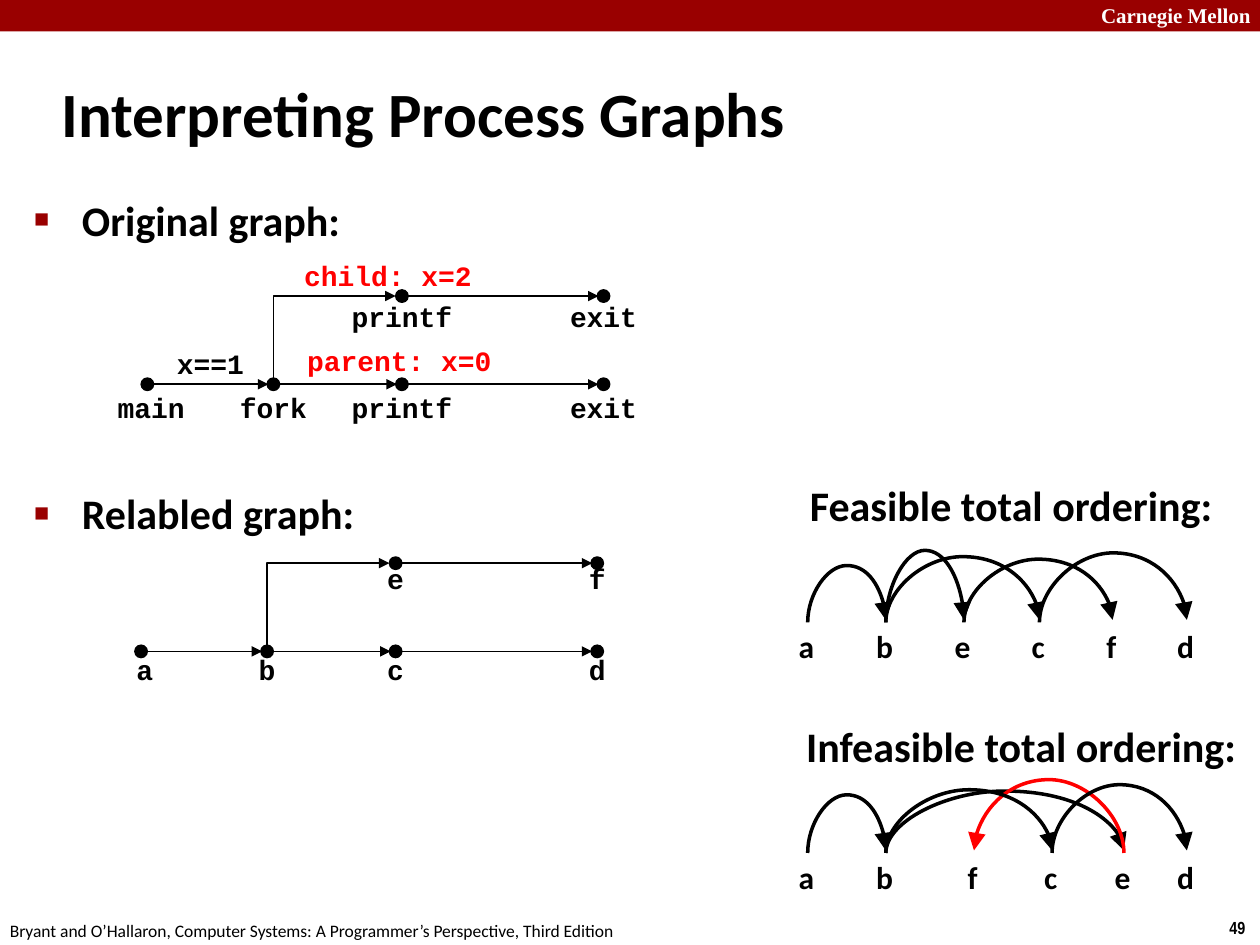
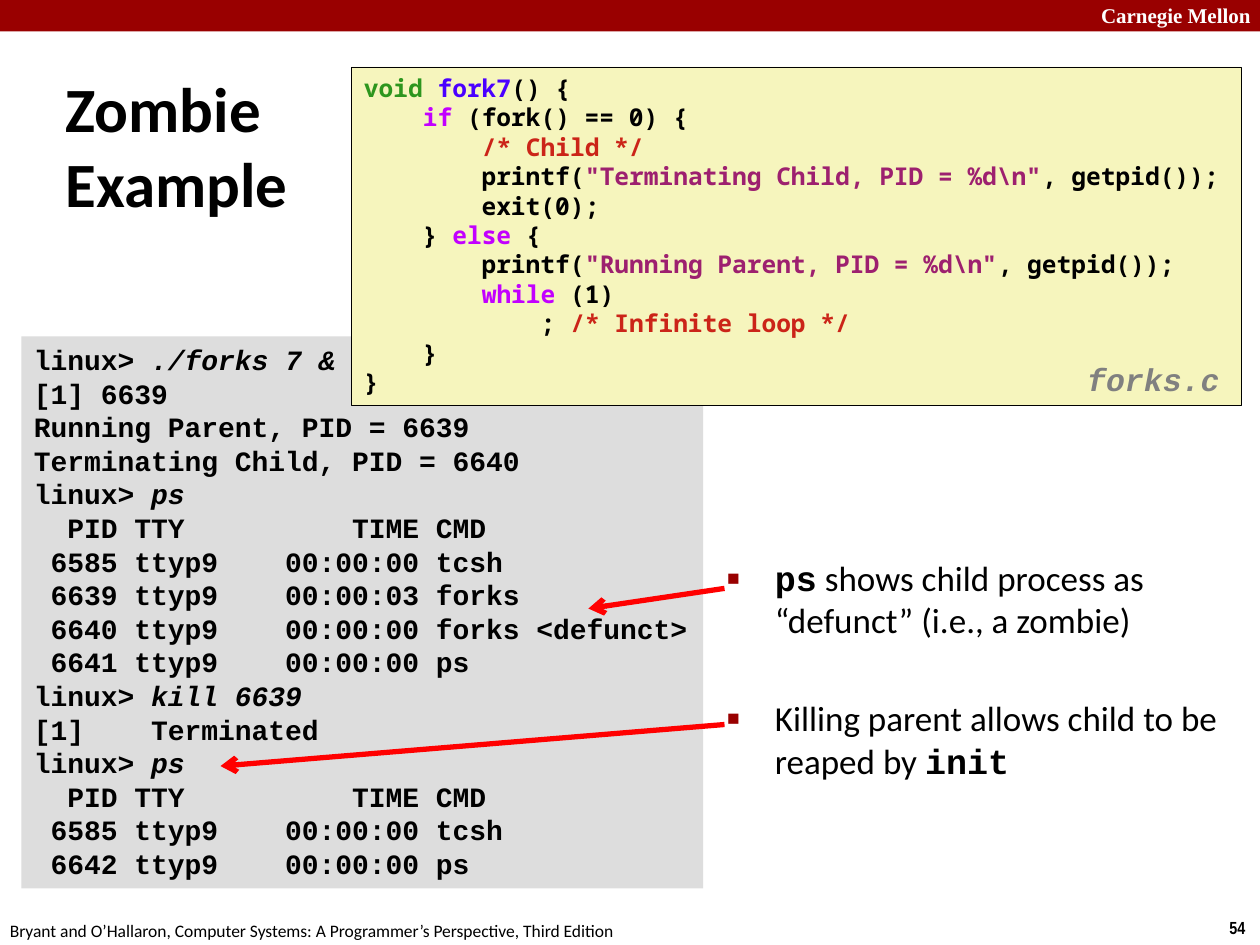
from itertools import pairwise

from lxml import etree
from pptx import Presentation
from pptx.dml.color import RGBColor
from pptx.enum.shapes import MSO_CONNECTOR, MSO_SHAPE
from pptx.enum.text import MSO_ANCHOR, MSO_AUTO_SIZE, PP_ALIGN
from pptx.oxml.ns import qn
from pptx.util import Inches, Pt

SLIDE_WIDTH, SLIDE_HEIGHT = 10, 7.5
BLACK = RGBColor(0x00, 0x00, 0x00)
WHITE = RGBColor(0xFF, 0xFF, 0xFF)
RED = RGBColor(0xFF, 0x00, 0x00)
CRIMSON = RGBColor(0x99, 0x00, 0x00)
GREY = RGBColor(0x80, 0x80, 0x80)
TERMINAL_FILL = RGBColor(0xDD, 0xDD, 0xDD)
CODE_FILL = RGBColor(0xF6, 0xF5, 0xBD)
TYPE_GREEN = RGBColor(0x2D, 0x96, 0x1E)
NAME_BLUE = RGBColor(0x4A, 0x00, 0xFF)
KEYWORD = RGBColor(0xC2, 0x00, 0xFF)
COMMENT = RGBColor(0xCB, 0x24, 0x18)
STRING = RGBColor(0x9D, 0x20, 0x6F)
SANS, MONO, CODE_FONT = "Calibri", "Courier New", "Noto Sans Mono"

FOOTER = ("Bryant and O’Hallaron, Computer Systems: "
          "A Programmer’s Perspective, Third Edition")

# Process graph grid: node columns from the left, and the rise of the child row
NODE_COLUMNS = (0, 1, 2.02, 3.62)
CHILD_RISE = 0.7
NODE_SIZE = 0.1

TERMINAL = [
    ("linux> ", "./forks 7 &"),
    ("[1] 6639",),
    ("Running Parent, PID = 6639",),
    ("Terminating Child, PID = 6640",),
    ("linux> ", "ps"),
    ("  PID TTY          TIME CMD",),
    (" 6585 ttyp9    00:00:00 tcsh",),
    (" 6639 ttyp9    00:00:03 forks",),
    (" 6640 ttyp9    00:00:00 forks <defunct>",),
    (" 6641 ttyp9    00:00:00 ps",),
    ("linux>", " kill 6639"),
    ("[1]    Terminated",),
    ("linux> ", "ps"),
    ("  PID TTY          TIME CMD",),
    (" 6585 ttyp9    00:00:00 tcsh",),
    (" 6642 ttyp9    00:00:00 ps",),
]

CODE = [
    [("void ", TYPE_GREEN), ("fork7", NAME_BLUE), ("() {", BLACK)],
    [("    ", BLACK), ("if", KEYWORD), (" (fork() == 0) {", BLACK)],
    [("        ", BLACK), ("/* Child */", COMMENT)],
    [("        printf(", BLACK), (r'"Terminating Child, PID = %d\n"', STRING),
     (", getpid());", BLACK)],
    [("        exit(0);", BLACK)],
    [("    } ", BLACK), ("else", KEYWORD), (" {", BLACK)],
    [("        printf(", BLACK), (r'"Running Parent, PID = %d\n"', STRING),
     (", getpid());", BLACK)],
    [("        ", BLACK), ("while", KEYWORD), (" (1)", BLACK)],
    [("            ; ", BLACK), ("/* Infinite loop */", COMMENT)],
    [("    }", BLACK)],
    [("}", BLACK)],
]


def format_font(font, name, size, color=BLACK, bold=True, italic=False):
    font.name, font.size = name, Pt(size)
    font.bold, font.italic = bold, italic
    font.color.rgb = color


def add_run(paragraph, text, *style, **options):
    run = paragraph.add_run()
    run.text = text
    format_font(run.font, *style, **options)


def add_text(slide, text, box, *style, align=PP_ALIGN.LEFT, **options):
    """Add a one-line text box; box is left, top, width, height in inches."""
    shape = slide.shapes.add_textbox(*map(Inches, box))
    frame = shape.text_frame
    frame.word_wrap = False
    frame.text = text
    paragraph = frame.paragraphs[0]
    paragraph.alignment = align
    format_font(paragraph.runs[0].font, *style, **options)


def add_label(slide, text, center, top, *style, width=2, **options):
    add_text(slide, text, (center - width / 2, top, width, 0.37), *style,
             align=PP_ALIGN.CENTER, **options)


def add_filled_shape(slide, kind, box, fill, line=None, line_width=0.75):
    shape = slide.shapes.add_shape(kind, *map(Inches, box))
    shape.shadow.inherit = False
    shape.fill.solid()
    shape.fill.fore_color.rgb = fill
    if line is None:
        shape.line.fill.background()
    else:
        shape.line.color.rgb = line
        shape.line.width = Pt(line_width)
    return shape


def add_listing(slide, box, lines, font, size, fill, line=None):
    """Add a filled box of lines; each line is a list of (text, run options)."""
    shape = add_filled_shape(slide, MSO_SHAPE.RECTANGLE, box, fill, line, 0.25)
    frame = shape.text_frame
    frame.word_wrap = False
    frame.vertical_anchor = MSO_ANCHOR.TOP
    for number, runs in enumerate(lines):
        paragraph = frame.add_paragraph() if number else frame.paragraphs[0]
        paragraph.alignment = PP_ALIGN.LEFT
        for text, options in runs:
            add_run(paragraph, text, font, size, **options)


def add_arrow(slide, start, end, color=BLACK, width=1, head="triangle",
              head_size="med", kind=MSO_CONNECTOR.STRAIGHT):
    connector = slide.shapes.add_connector(kind, *map(Inches, (*start, *end)))
    connector.line.color.rgb = color
    connector.line.width = Pt(width)
    properties = connector._element.spPr
    etree.SubElement(properties.find(qn("a:ln")), qn("a:tailEnd"),
                     type=head, w=head_size, len=head_size)
    etree.SubElement(properties, qn("a:effectLst"))
    return connector


def add_upward_arrow(slide, start, end, **options):
    """Add an arrow that leaves start going straight up, by turning a connector."""
    (x1, y1), (x2, y2) = start, end
    center_x, center_y = (x1 + x2) / 2, (y1 + y2) / 2
    half_span, half_rise = abs(x2 - x1) / 2, (y1 - y2) / 2
    connector = add_arrow(slide, (center_x - half_rise, center_y - half_span),
                          (center_x + half_rise, center_y + half_span), **options)
    transform = connector._element.spPr.find(qn("a:xfrm"))
    transform.set("flipV", "1")
    if x2 > x1:
        transform.set("flipH", "1")
    transform.set("rot", str((90 if x2 > x1 else 270) * 60000))
    return connector._element.spPr.find(qn("a:prstGeom"))


def add_elbow(slide, start, end):
    geometry = add_upward_arrow(slide, start, end, kind=MSO_CONNECTOR.ELBOW)
    geometry.set("prst", "bentConnector2")


def add_arc(slide, start_x, end_x, base, rise, color):
    drop = 0.02
    geometry = add_upward_arrow(slide, (start_x, base), (end_x, base - drop),
                                kind=MSO_CONNECTOR.CURVE, color=color, width=2,
                                head_size="lg")
    guides = geometry.get_or_add_avLst()
    etree.SubElement(guides, qn("a:gd"), name="adj1",
                     fmla=f"val {round(rise / drop * 100000)}")


def add_process_graph(slide, left, base, parent_labels, child_labels, label_shift):
    """Draw a parent row of four nodes and a child row forked from the second."""
    columns = [left + column for column in NODE_COLUMNS]
    radius = NODE_SIZE / 2
    child_row = base - CHILD_RISE
    rows = ((base, columns, parent_labels, label_shift),
            (child_row, columns[2:], child_labels, label_shift - 0.02))
    for y, nodes, labels, shift in rows:
        for x, label in zip(nodes, labels):
            add_filled_shape(slide, MSO_SHAPE.OVAL,
                             (x - radius, y - radius, NODE_SIZE, NODE_SIZE),
                             BLACK, BLACK)
            nudge = 0.03 if x == left else 0
            add_label(slide, label, x + nudge, y + shift, MONO, 16, width=1.04)
        for x, following in pairwise(nodes):
            add_arrow(slide, (x + radius, y), (following - radius + 0.01, y))
    add_elbow(slide, (columns[1], base), (columns[2] - radius, child_row))


def add_ordering(slide, heading, heading_place, top, letters, arcs):
    """Draw lettered positions joined by arcs of (ends, rise, color)."""
    add_text(slide, heading, (*heading_place, 3.67, 0.5), SANS, 24)
    for letter, x in letters.items():
        add_label(slide, letter, x - 0.01, top, SANS, 18, width=0.4)
    for (start, end), rise, color in arcs:
        add_arc(slide, letters[start], letters[end], top + 0.01, rise, color)


def set_title(slide, text, box):
    title = slide.shapes.title
    title.left, title.top, title.width, title.height = map(Inches, box)
    frame = title.text_frame
    frame.text = text
    frame.auto_size = MSO_AUTO_SIZE.NONE
    frame.vertical_anchor = MSO_ANCHOR.MIDDLE
    paragraph = frame.paragraphs[0]
    paragraph.alignment = PP_ALIGN.LEFT
    for run in paragraph.runs:
        format_font(run.font, SANS, 36)


def add_square_bullet(paragraph):
    properties = paragraph._p.get_or_add_pPr()
    properties.set("marL", str(Inches(0.38)))
    properties.set("indent", str(-Inches(0.38)))
    color = etree.SubElement(properties, qn("a:buClr"))
    etree.SubElement(color, qn("a:srgbClr"), val=str(CRIMSON))
    etree.SubElement(properties, qn("a:buSzPct"), val="60000")
    etree.SubElement(properties, qn("a:buFont"), typeface="Arial")
    etree.SubElement(properties, qn("a:buChar"), char="■")


def set_bullets(slide, box, items, size, gap):
    """Fill the body; each item is a list of (text, font, bold) runs."""
    body = slide.placeholders[1]
    body.left, body.top, body.width, body.height = map(Inches, box)
    frame = body.text_frame
    frame.auto_size = MSO_AUTO_SIZE.NONE
    for number, runs in enumerate(items):
        paragraph = frame.add_paragraph() if number else frame.paragraphs[0]
        add_square_bullet(paragraph)
        paragraph.space_before = Pt(gap if number else 0)
        for text, font, bold in runs:
            add_run(paragraph, text, font, size, bold=bold)


def add_slide(presentation, title, title_box, number):
    slide = presentation.slides.add_slide(presentation.slide_layouts[1])
    add_filled_shape(slide, MSO_SHAPE.RECTANGLE, (0, 0, SLIDE_WIDTH, 0.25), CRIMSON)
    add_text(slide, "Carnegie Mellon", (8.64, -0.03, 1.43, 0.3),
             "Times New Roman", 12, WHITE)
    add_text(slide, str(number), (9.66, SLIDE_HEIGHT - 0.27, 0.34, 0.27),
             "Arial Narrow", 10)
    add_text(slide, FOOTER, (-0.02, SLIDE_HEIGHT - 0.25, 5.08, 0.27),
             SANS, 10, bold=False)
    set_title(slide, title, title_box)
    return slide


def build_process_graphs(presentation):
    slide = add_slide(presentation, "Interpreting Process Graphs",
                      (0.39, 0.48, 8.3, 0.83), 49)
    set_bullets(slide, (0.17, 1.49, 5.14, 4.26),
                [[("Original graph:", SANS, True)],
                 [("Relabled graph:", SANS, True)]], 24, 139)
    add_process_graph(slide, 1.17, 3.05, ("main", "fork", "printf", "exit"),
                      ("printf", "exit"), 0)
    add_label(slide, "child: x=2", 3.08, 2, MONO, 16, RED)
    add_label(slide, "parent: x=0", 3.17, 2.68, MONO, 16, RED)
    add_label(slide, "x==1", 1.67, 2.7, MONO, 16)
    add_process_graph(slide, 1.12, 5.17, "abcd", "ef", -0.04)
    add_ordering(slide, "Feasible total ordering:", (6.33, 3.76), 4.93,
                 dict(a=6.41, b=7.03, e=7.65, c=8.25, f=8.83, d=9.42),
                 [("ab", 0.45, BLACK), ("be", 0.57, BLACK), ("ef", 0.5, BLACK),
                  ("bc", 0.52, BLACK), ("cd", 0.55, BLACK)])
    add_ordering(slide, "Infeasible total ordering:", (6.3, 5.67), 6.76,
                 dict(a=6.41, b=7.03, f=7.73, c=8.35, e=8.92, d=9.42),
                 [("ab", 0.46, BLACK), ("be", 0.49, BLACK), ("ef", 0.58, RED),
                  ("bc", 0.5, BLACK), ("cd", 0.54, BLACK)])


def build_zombie_example(presentation):
    slide = add_slide(presentation, "Zombie\vExample", (0.42, 0.55, 2.19, 1.2), 54)
    # The second part of a terminal line is what the user types
    terminal = [[(text, {"italic": typed > 0}) for typed, text in enumerate(line)]
                for line in TERMINAL]
    add_listing(slide, (0.17, 2.67, 5.41, 4.38), terminal, MONO, 16, TERMINAL_FILL)
    set_bullets(slide, (5.67, 4.37, 4.33, 2.88),
                [[("ps", MONO, True),
                  (" shows child process as “defunct” (i.e., a zombie)", SANS, False)],
                 [("Killing parent allows child to be reaped by ", SANS, False),
                  ("init", MONO, True)]], 20, 32)
    code = [[(text, {"color": color}) for text, color in line] for line in CODE]
    add_listing(slide, (2.79, 0.53, 7.06, 2.69), code, CODE_FONT, 14, CODE_FILL, BLACK)
    add_text(slide, "forks.c", (8.53, 2.81, 1.32, 0.39), MONO, 18, GREY, italic=True)
    for start, end in (((5.75, 4.67), (4.67, 4.83)), ((5.75, 5.75), (1.75, 6.08))):
        add_arrow(slide, start, end, RED, 3, "arrow")


def main():
    presentation = Presentation()
    presentation.slide_width = Inches(SLIDE_WIDTH)
    presentation.slide_height = Inches(SLIDE_HEIGHT)
    build_process_graphs(presentation)
    build_zombie_example(presentation)
    presentation.save("out.pptx")


if __name__ == "__main__":
    main()
